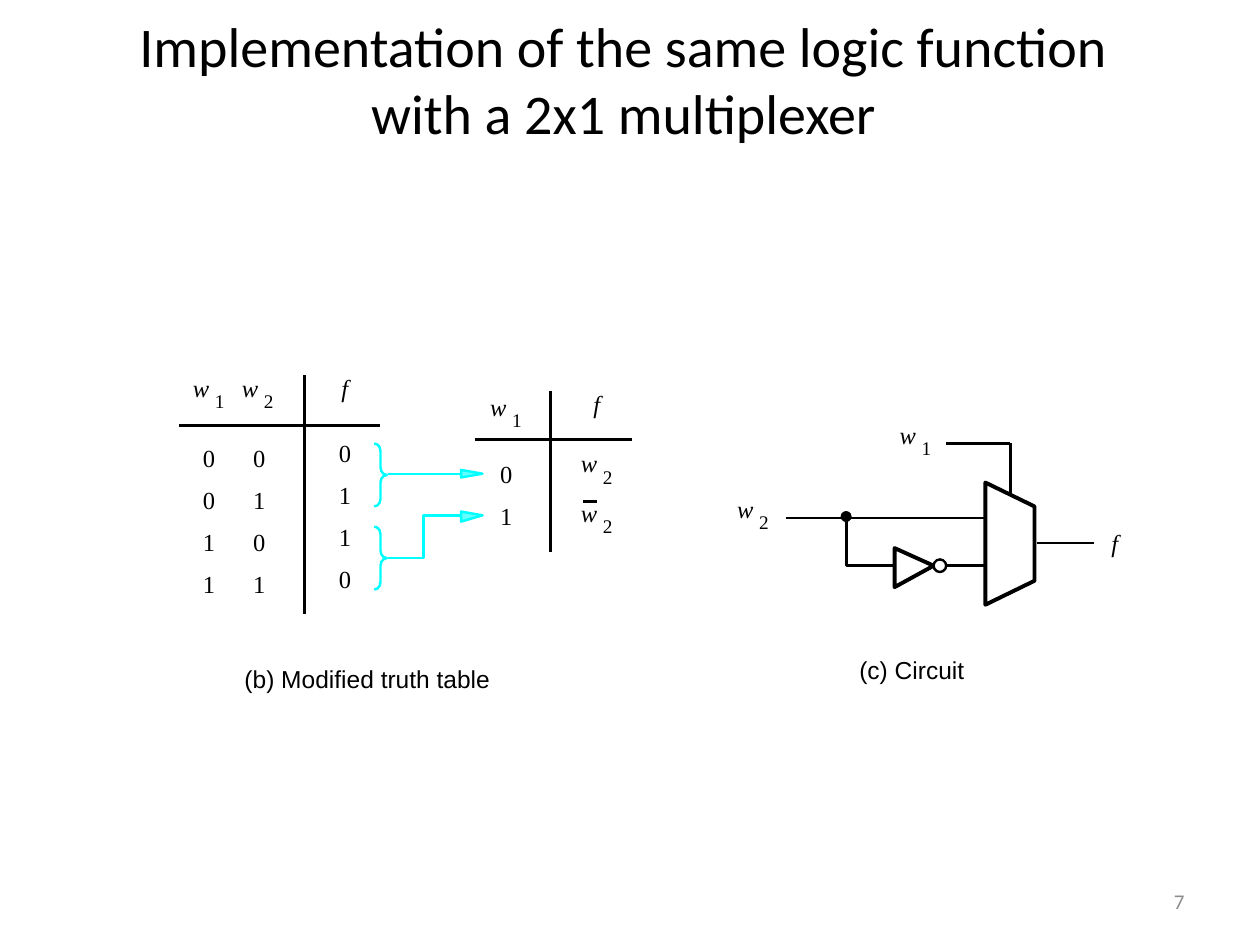
"""Build a slide with a modified truth table and its 2x1 multiplexer circuit."""
from dataclasses import dataclass

from lxml.etree import SubElement
from pptx import Presentation
from pptx.dml.color import RGBColor
from pptx.enum.shapes import MSO_CONNECTOR, MSO_SHAPE
from pptx.enum.text import MSO_ANCHOR, PP_ALIGN
from pptx.oxml.ns import qn
from pptx.util import Emu, Inches, Pt


@dataclass(frozen=True)
class Theme:
    ink: str = "000000"
    paper: str = "FFFFFF"
    accent: str = "00FFFF"
    arrow: str = "66FFFF"
    muted: str = "8C8C8C"
    heading_font: str = "Calibri"
    caption_font: str = "Arial"
    symbol_font: str = "Times New Roman"
    title_size: float = 32
    body_size: float = 14
    subscript_size: float = 11
    number_size: float = 12
    thin: float = 1.38
    wire: float = 1.5
    outline: float = 2.25


THEME = Theme()
COLUMNS, ROWS = 100, 75
ROW_PITCH = 3.33


def cells(count):
    return Emu(round(count * Inches(10) / COLUMNS))


def box(left, top, width, height):
    return [cells(value) for value in (left, top, width, height)]


def add_text(slide, frame, text, size, font, color=THEME.ink, italic=False,
             align=PP_ALIGN.LEFT, framed=False):
    text_frame = slide.shapes.add_textbox(*box(*frame)).text_frame
    text_frame.word_wrap = True
    if framed:
        text_frame.vertical_anchor = MSO_ANCHOR.MIDDLE
    else:
        text_frame.margin_left = text_frame.margin_right = 0
        text_frame.margin_top = text_frame.margin_bottom = 0
    paragraph = text_frame.paragraphs[0]
    paragraph.text = text
    paragraph.alignment = align
    paragraph.font.size = Pt(size)
    paragraph.font.name = font
    paragraph.font.italic = italic
    paragraph.font.color.rgb = RGBColor.from_string(color)


def add_caption(slide, left, top, width, text):
    add_text(slide, (left, top, width, 2.3), text, THEME.body_size, THEME.caption_font)


def add_symbol(slide, left, top, letter, subscript=""):
    add_text(slide, (left, top, 1.8, 2.3), letter, THEME.body_size,
             THEME.symbol_font, italic=True)
    if subscript:
        add_text(slide, (left + 1.75, top + 1.3, 1.1, 1.8), subscript,
                 THEME.subscript_size, THEME.symbol_font)


def add_digits(slide, left, top, digits):
    for row, digit in enumerate(digits):
        add_text(slide, (left, top + row * ROW_PITCH, 1.5, 2.3), digit,
                 THEME.body_size, THEME.symbol_font)


def add_line(slide, start, end, width=THEME.wire, color=THEME.ink):
    points = [cells(value) for value in (*start, *end)]
    line = slide.shapes.add_connector(MSO_CONNECTOR.STRAIGHT, *points)
    line.line.width = Pt(width)
    line.line.color.rgb = RGBColor.from_string(color)
    SubElement(line.element.spPr, qn("a:effectLst"))


def paint(shape, fill, color, width):
    shape.shadow.inherit = False
    if fill:
        shape.fill.solid()
        shape.fill.fore_color.rgb = RGBColor.from_string(fill)
    else:
        shape.fill.background()
    shape.line.width = Pt(width)
    shape.line.color.rgb = RGBColor.from_string(color)


def add_path(slide, points, width, color=THEME.ink, fill=None, close=True):
    start, *rest = [(cells(x), cells(y)) for x, y in points]
    builder = slide.shapes.build_freeform(*start, scale=1.0)
    builder.add_line_segments(rest, close=close)
    paint(builder.convert_to_shape(), fill, color, width)


def add_circle(slide, center, diameter, fill, width):
    x, y = center
    frame = box(x - diameter / 2, y - diameter / 2, diameter, diameter)
    paint(slide.shapes.add_shape(MSO_SHAPE.OVAL, *frame), fill, THEME.ink, width)


def add_brace(slide, left, top):
    brace = slide.shapes.add_shape(MSO_SHAPE.RIGHT_BRACE, *box(left, top, 1, 5))
    brace.adjustments[0] = 0.6
    paint(brace, None, THEME.accent, THEME.thin)


def add_arrowhead(slide, tip, rise, drop):
    x, y = tip
    base = x - 1.7
    add_path(slide, [(base, y + drop), tip, (base, y - rise)],
             THEME.thin, THEME.accent, THEME.arrow)


def add_full_table(slide):
    add_line(slide, (14.2, 33.75), (30.2, 33.75))
    add_line(slide, (24.15, 29.8), (24.15, 48.7))
    for left, subscript in ((15.3, "1"), (19.2, "2")):
        add_symbol(slide, left, 29.6, "w", subscript)
    add_symbol(slide, 27.1, 29.6, "f")
    for left, top, digits in ((16.1, 35.2, "0011"), (20.1, 35.2, "0101"),
                              (26.9, 34.8, "0110")):
        add_digits(slide, left, top, digits)


def add_reduction_arrows(slide):
    for top in (35.2, 41.8):
        add_brace(slide, 29.7, top)
    add_line(slide, (30.8, 37.6), (36.6, 37.6), THEME.thin, THEME.accent)
    add_path(slide, [(36.6, 40.9), (33.6, 40.9), (33.6, 44.3), (30.8, 44.3)],
             THEME.thin, THEME.accent, close=False)
    add_arrowhead(slide, (38.3, 37.6), 0.3, 0.3)
    add_arrowhead(slide, (38.3, 40.9), 0.3, 0.5)


def add_reduced_table(slide):
    add_line(slide, (37.7, 34.9), (50.2, 34.9))
    add_line(slide, (43.7, 31), (43.7, 43.8))
    add_symbol(slide, 38.9, 31.1, "w", "1")
    add_symbol(slide, 47.1, 30.9, "f")
    add_digits(slide, 39.7, 36.4, "01")
    for top in (35.6, 39.5):
        add_symbol(slide, 46.1, top, "w", "2")
    add_line(slide, (46.3, 39.8), (47.4, 39.8), THEME.thin)


def add_circuit(slide):
    add_symbol(slide, 71.4, 33.3, "w", "1")
    add_symbol(slide, 58.5, 39.2, "w", "2")
    add_symbol(slide, 88.2, 41.9, "f")
    add_line(slide, (75.1, 35.2), (80.2, 35.2), THEME.outline)
    for start, end in (((80.2, 35.2), (80.2, 39.1)), ((62.4, 41.1), (78.2, 41.1)),
                       ((75.1, 44.9), (78.2, 44.9)), ((82.3, 43.1), (86.8, 43.1))):
        add_line(slide, start, end)
    add_path(slide, [(67.2, 41.1), (67.2, 44.9), (71, 44.9)], THEME.wire, close=False)
    add_path(slide, [(82.1, 46.1), (82.1, 40.2), (78.2, 38.3), (78.2, 48)],
             THEME.outline)
    add_path(slide, [(74.1, 44.9), (71, 46.6), (71, 43.5)], THEME.outline)
    add_circle(slide, (74.6, 44.9), 1, THEME.paper, THEME.thin)
    add_circle(slide, (67.15, 41), 0.8, THEME.ink, 0.5)


def main():
    presentation = Presentation()
    presentation.slide_width, presentation.slide_height = cells(COLUMNS), cells(ROWS)
    slide = presentation.slides.add_slide(presentation.slide_layouts[6])
    add_text(slide, (0, 0, COLUMNS, 12.5),
             "Implementation of the same logic function \vwith a 2x1 multiplexer ",
             THEME.title_size, THEME.heading_font, align=PP_ALIGN.CENTER, framed=True)
    add_full_table(slide)
    add_reduction_arrows(slide)
    add_reduced_table(slide)
    add_caption(slide, 19.4, 52.7, 19.9, "(b) Modified truth table")
    add_circuit(slide)
    add_caption(slide, 68.2, 52, 8.8, "(c) Circuit")
    add_text(slide, (71.7, 69.5, 23.3, 4), "7", THEME.number_size, THEME.heading_font,
             THEME.muted, align=PP_ALIGN.RIGHT, framed=True)
    presentation.save("out.pptx")


main()
